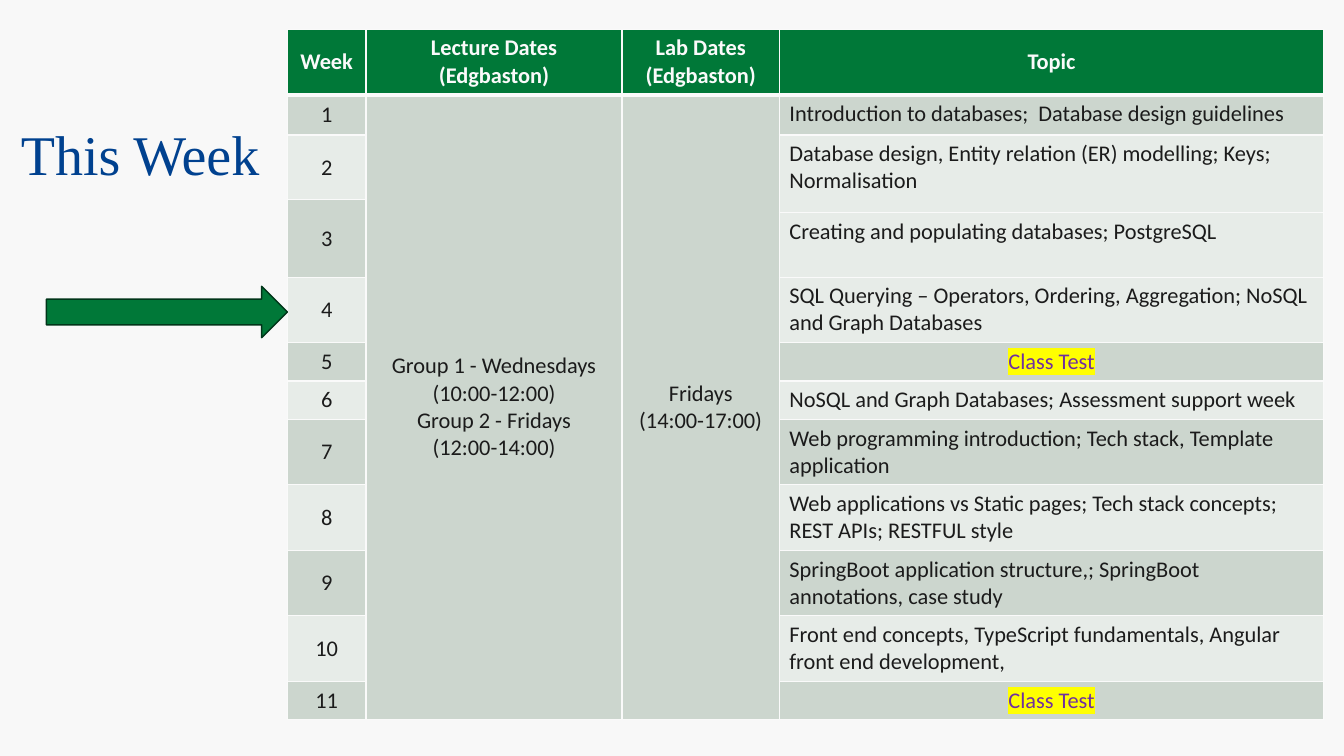
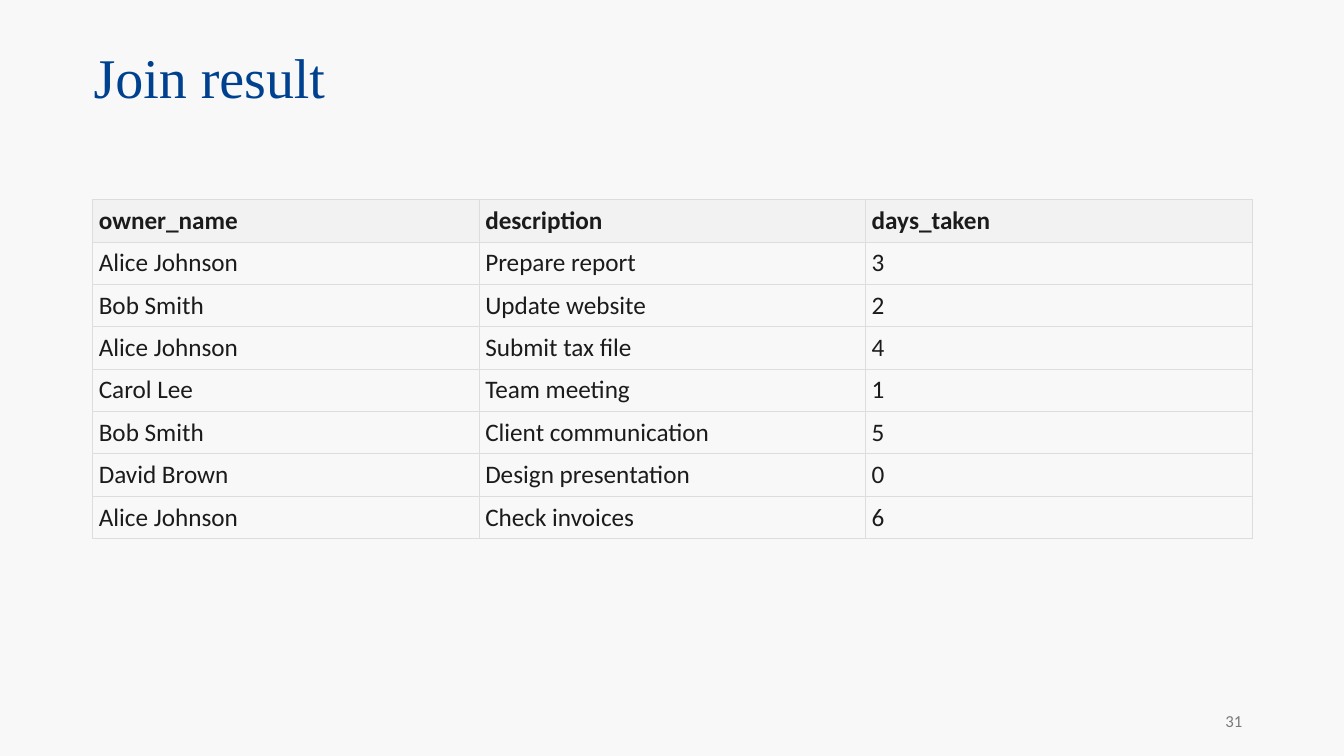
import pptx
import pptx.util
import pptx.dml.color
import pptx.enum.shapes
import pptx.enum.text
import pptx.oxml
import pptx.oxml.ns

Inches, Pt = pptx.util.Inches, pptx.util.Pt
RGBColor = pptx.dml.color.RGBColor
PP_ALIGN = pptx.enum.text.PP_ALIGN
MIDDLE = pptx.enum.text.MSO_ANCHOR.MIDDLE
TOP = pptx.enum.text.MSO_ANCHOR.TOP

# Shared style
PAPER = RGBColor(0xF8, 0xF8, 0xF8)
TITLE_BLUE = RGBColor(0x00, 0x41, 0x8F)
INK = RGBColor(0x1B, 0x1B, 0x1B)
FOOTER_GREY = RGBColor(0x7A, 0x7A, 0x7A)
GREEN = RGBColor(0x00, 0x78, 0x38)
DARK_GREEN = RGBColor(0x00, 0x35, 0x19)
BAND_DARK = RGBColor(0xCC, 0xD6, 0xCE)
BAND_LIGHT = RGBColor(0xE7, 0xEC, 0xE8)
WHITE = RGBColor(0xFA, 0xFA, 0xFA)
HEADER_GREY = RGBColor(0xF2, 0xF2, 0xF2)
GRID_GREY = RGBColor(0xDD, 0xDD, 0xDD)
PURPLE = RGBColor(0x70, 0x30, 0xA0)
YELLOW = RGBColor(0xFF, 0xFF, 0x00)
BODY_FONT, TITLE_FONT = "Calibri", "Times New Roman"

# Slide content
CLASS_TEST = "Class Test"
SCHEDULE_HEADER = ["Week", "Lecture Dates (Edgbaston)", "Lab Dates (Edgbaston)", "Topic"]
LECTURES = "Group 1 - Wednesdays (10:00-12:00)\nGroup 2 - Fridays\n(12:00-14:00)"
LABS = "Fridays\n(14:00-17:00)"
TOPICS = [
    "Introduction to databases;  Database design guidelines",
    "Database design, Entity relation (ER) modelling; Keys; Normalisation",
    "Creating and populating databases; PostgreSQL",
    "SQL Querying – Operators, Ordering, Aggregation; NoSQL and Graph Databases",
    CLASS_TEST,
    "NoSQL and Graph Databases; Assessment support week",
    "Web programming introduction; Tech stack, Template application",
    "Web applications vs Static pages; Tech stack concepts; REST APIs; RESTFUL style",
    "SpringBoot application structure,; SpringBoot annotations, case study",
    "Front end concepts, TypeScript fundamentals, Angular front end development,",
    CLASS_TEST,
]
SCHEDULE_COLUMNS = [0.78, 2.54, 1.56, 5.4]
SCHEDULE_ROWS = [0.65, 0.4, 0.64, 0.13, 0.64, 0.65, 0.38, 0.38, 0.65, 0.65, 0.65, 0.65, 0.38]
JOIN_ROWS = [
    ("owner_name", "description", "days_taken"),
    ("Alice Johnson", "Prepare report", "3"),
    ("Bob Smith", "Update website", "2"),
    ("Alice Johnson", "Submit tax file", "4"),
    ("Carol Lee", "Team meeting", "1"),
    ("Bob Smith", "Client communication", "5"),
    ("David Brown", "Design presentation", "0"),
    ("Alice Johnson", "Check invoices", "6"),
]


def solid_fill_xml(tag, color, attributes=""):
    return pptx.oxml.parse_xml(
        f'<a:{tag} {pptx.oxml.ns.nsdecls("a")} {attributes}>'
        f'<a:solidFill><a:srgbClr val="{color}"/></a:solidFill></a:{tag}>')


def write(frame, text, size=16, font=BODY_FONT, color=INK, bold=False,
          align=PP_ALIGN.LEFT, line_spacing=None, highlight=None):
    """Fill a text frame with one paragraph per line of text."""
    for index, line in enumerate(text.split("\n")):
        paragraph = frame.add_paragraph() if index else frame.paragraphs[0]
        paragraph.alignment = align
        if line_spacing:
            paragraph.line_spacing = line_spacing
        run = paragraph.add_run()
        run.text = line
        run.font.size, run.font.bold = Pt(size), bold
        run.font.color.rgb = color
        run.font.name = font
        if highlight:
            marker = pptx.oxml.parse_xml(
                f'<a:highlight {pptx.oxml.ns.nsdecls("a")}>'
                f'<a:srgbClr val="{highlight}"/></a:highlight>')
            run.font._element.find(pptx.oxml.ns.qn("a:solidFill")).addnext(marker)


def add_text(slide, box, text, **text_format):
    frame = slide.shapes.add_textbox(*map(Inches, box)).text_frame
    frame.word_wrap = True
    frame.vertical_anchor = MIDDLE
    write(frame, text, **text_format)


def add_title(slide, box, text):
    add_text(slide, box, text, size=40, font=TITLE_FONT, color=TITLE_BLUE, line_spacing=0.9)


def add_page(deck):
    slide = deck.slides.add_slide(deck.slide_layouts[6])
    slide.background.fill.solid()
    slide.background.fill.fore_color.rgb = PAPER
    return slide


def add_grid(slide, left, top, columns, rows):
    """Add an unbanded table with the given column widths and row heights."""
    grid = slide.shapes.add_table(
        len(rows), len(columns), *map(Inches, (left, top, sum(columns), sum(rows)))).table
    grid.horz_banding = False
    for column, width in zip(grid.columns, columns):
        column.width = Inches(width)
    for row, height in zip(grid.rows, rows):
        row.height = Inches(height)
    return grid


def style_cell(cell, fill, border, width=1, bottom_width=None, anchor=MIDDLE, inset=None):
    properties = cell._tc.get_or_add_tcPr()
    for side in "LRTB":
        points = bottom_width if side == "B" and bottom_width else width
        properties.append(solid_fill_xml(f"ln{side}", border, f'w="{Pt(points)}"'))
    if fill is None:
        cell.fill.background()
    else:
        cell.fill.solid()
        cell.fill.fore_color.rgb = fill
    cell.vertical_anchor = anchor
    if inset is not None:
        cell.margin_left = cell.margin_right = Inches(inset)
        cell.margin_top = cell.margin_bottom = Inches(inset)


def add_schedule(slide, left, top):
    grid = add_grid(slide, left, top, SCHEDULE_COLUMNS, SCHEDULE_ROWS)
    last_row = len(SCHEDULE_ROWS) - 1
    centre = PP_ALIGN.CENTER

    # Header row
    for column, heading in enumerate(SCHEDULE_HEADER):
        cell = grid.cell(0, column)
        style_cell(cell, GREEN, WHITE, bottom_width=3)
        write(cell.text_frame, heading, color=WHITE, bold=True, align=centre)

    # Week 2's topic and week 3's number share the thin third row
    for first, last, column in ((1, last_row, 1), (1, last_row, 2), (2, 3, 3), (3, 4, 0)):
        grid.cell(first, column).merge(grid.cell(last, column))
    for row in range(1, last_row + 1):
        week = row if row <= 3 else row - 1
        band = BAND_DARK if week % 2 else BAND_LIGHT
        for column in range(4):
            fill = BAND_DARK if column in (1, 2) else band
            if column == 3 and row in (3, 4):
                fill = BAND_LIGHT
            anchor = TOP if column == 3 and week <= 5 else MIDDLE
            style_cell(grid.cell(row, column), fill, WHITE, anchor=anchor)

    # Weeks and topics
    for week, topic in enumerate(TOPICS, 1):
        number_row = week if week <= 3 else week + 1
        topic_row = week if week <= 2 else week + 1
        write(grid.cell(number_row, 0).text_frame, str(week), align=centre)
        topic_format = {}
        if topic == CLASS_TEST:
            topic_format = dict(color=PURPLE, highlight=YELLOW, align=centre)
        write(grid.cell(topic_row, 3).text_frame, topic, **topic_format)
    for column, dates in ((1, LECTURES), (2, LABS)):
        write(grid.cell(1, column).text_frame, dates, align=centre)


def add_week_pointer(slide, box):
    pointer = slide.shapes.add_shape(
        pptx.enum.shapes.MSO_SHAPE.RIGHT_ARROW, *map(Inches, box))
    pointer.shadow.inherit = False
    pointer.fill.solid()
    pointer.fill.fore_color.rgb = GREEN
    pointer.line.color.rgb = DARK_GREEN
    pointer.line.width = Pt(1)


def add_join_result(slide, left, top, width, row_height):
    column_count = len(JOIN_ROWS[0])
    grid = add_grid(slide, left, top, [width / column_count] * column_count,
                    [row_height] * len(JOIN_ROWS))
    for row, values in enumerate(JOIN_ROWS):
        for column, value in enumerate(values):
            cell = grid.cell(row, column)
            style_cell(cell, None if row else HEADER_GREY, GRID_GREY, width=0.5, inset=0.06)
            write(cell.text_frame, value, size=18, bold=row == 0)


def build_schedule_slide(deck):
    slide = add_page(deck)
    add_title(slide, (0.11, 1.25, 2.64, 0.63), "This Week")
    add_schedule(slide, 2.85, 0.29)
    add_week_pointer(slide, (0.46, 2.84, 2.39, 0.51))


def build_join_slide(deck):
    slide = add_page(deck)
    add_title(slide, (0.83, 0.48, 11.88, 0.63), "Join result")
    add_join_result(slide, 0.92, 1.98, 11.5, 0.41)
    add_text(slide, (9.42, 6.95, 3, 0.4), "31", size=12, color=FOOTER_GREY,
             align=PP_ALIGN.RIGHT)


def main():
    deck = pptx.Presentation()
    deck.slide_width, deck.slide_height = Inches(13.33), Inches(7.5)
    build_schedule_slide(deck)
    build_join_slide(deck)
    deck.save("out.pptx")


if __name__ == "__main__":
    main()
